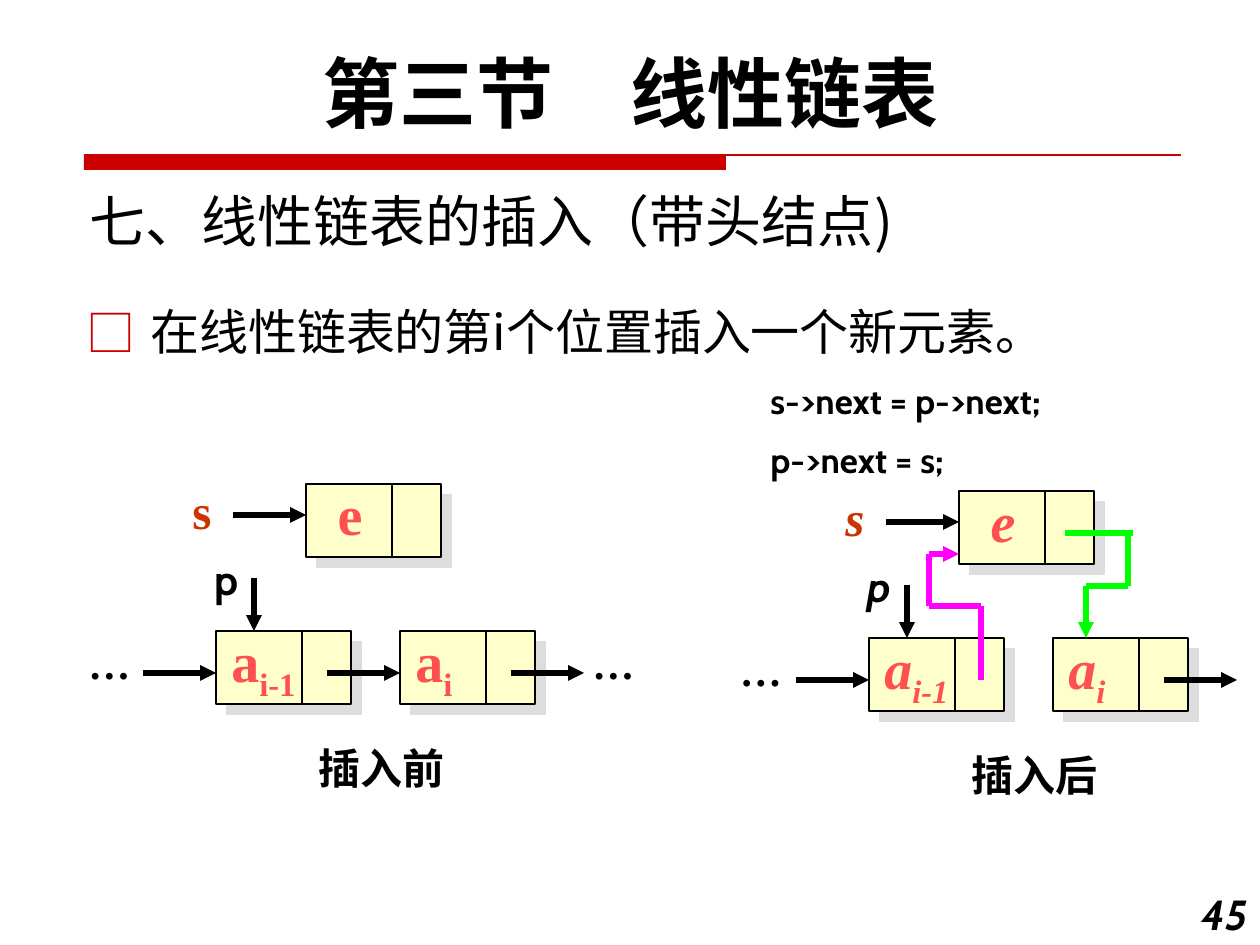
from itertools import pairwise
from lxml.etree import SubElement as Sub
from pptx import Presentation
from pptx.dml.color import RGBColor as RGB
from pptx.enum.shapes import MSO_CONNECTOR as LINE, MSO_SHAPE as SHAPE
from pptx.enum.text import MSO_ANCHOR as ANCHOR, PP_ALIGN as ALIGN
from pptx.oxml.ns import qn
from pptx.util import Pt

SCALE = 914400 / 126
BLACK = RGB(0x00, 0x00, 0x00)
RED = RGB(0xCC, 0x00, 0x00)
RUST = RGB(0xCC, 0x33, 0x00)
CORAL = RGB(0xFF, 0x50, 0x50)
CREAM = RGB(0xFF, 0xFF, 0xCC)
GREY = RGB(0xDD, 0xDD, 0xDD)
PINK = RGB(0xFF, 0x00, 0xFF)
GREEN = RGB(0x00, 0xFF, 0x00)
CABIN, NOTO, TIMES = "Cabin", "Noto Sans CJK SC", "Times New Roman"
NODE_W, NODE_H, SPLIT = 135, 73, 86


def px(*nums):
    return [round(n * SCALE) for n in nums]


def text(shapes, box, words, font=CABIN, size=24, color=BLACK, bold=True,
         italic=False, align=ALIGN.LEFT, anchor=ANCHOR.TOP, sub="", gap=0):
    frame = shapes.add_textbox(*px(*box)).text_frame
    frame.word_wrap = True
    frame.vertical_anchor = anchor
    for num, line in enumerate(words.split("\n")):
        para = frame.add_paragraph() if num else frame.paragraphs[0]
        para.alignment = align
        para.space_before = Pt(gap if num else 0)
        for part, base in ((line, 0), (sub, -25000)):
            if not part:
                continue
            run = para.add_run()
            run.text = part
            face = run.font
            face.name, face.size = font, Pt(size)
            face.bold, face.italic = bold, italic
            face.color.rgb = color
            props = run._r.get_or_add_rPr()
            Sub(props, qn("a:ea"), typeface=font)
            if base:
                props.set("baseline", str(base))
    return frame


def bullet(para, mark, color, indent):
    props = para._p.get_or_add_pPr()
    props.set("marL", str(indent))
    props.set("indent", str(-indent))
    tint = Sub(props, qn("a:buClr"))
    Sub(tint, qn("a:srgbClr"), val=str(color))
    Sub(props, qn("a:buFont"), typeface=NOTO)
    Sub(props, qn("a:buChar"), char=mark)


def link(shapes, points, color=BLACK, width=3, arrow=True):
    for start, end in pairwise(points):
        line = shapes.add_connector(LINE.STRAIGHT, *px(*start, *end))
        line.line.color.rgb = color
        line.line.width = Pt(width)
        if arrow and end == points[-1]:
            Sub(line.line._get_or_add_ln(), qn("a:tailEnd"), type="triangle")
        Sub(line._element.spPr, qn("a:effectLst"))


def rect(shapes, box, fill):
    shape = shapes.add_shape(SHAPE.RECTANGLE, *px(*box))
    shape.fill.solid()
    shape.fill.fore_color.rgb = fill
    shape.shadow.inherit = False
    return shape


def node(shapes, x, y, name, **form):
    shape = rect(shapes, (x, y, NODE_W, NODE_H), CREAM)
    shape.line.color.rgb = BLACK
    shape.line.width = Pt(0.75)
    shade = Sub(shape._element.spPr.find(qn("a:effectLst")),
                qn("a:outerShdw"), dist=str(Pt(8.5)), dir="2700000",
                algn="ctr", rotWithShape="0")
    Sub(shade, qn("a:srgbClr"), val=str(GREY))
    link(shapes, [(x + SPLIT, y), (x + SPLIT, y + NODE_H)],
         width=0.75, arrow=False)
    text(shapes, (x + 3, y - 11, 96 if form.get("sub") else 82, 80), name,
         font=TIMES, size=32, color=CORAL, **form)


def header(shapes, x, y, w):
    text(shapes, (x - 36, y - 116, 1166, 106), "第三节　线性链表",
         size=44, align=ALIGN.CENTER)
    rect(shapes, (x, y, 642, 15), RED).line.fill.background()
    link(shapes, [(x, y), (x + w, y)], color=RED, width=0.75, arrow=False)
    text(shapes, (x - 7, y + 10, 920, 95), "七、线性链表的插入（带头结点)",
         font=NOTO, size=32, bold=False, anchor=ANCHOR.BOTTOM)


def body(shapes, x, y, w, h):
    frame = text(shapes, (x, y, w, h), "在线性链表的第i个位置插入一个新元素。",
                 font=NOTO, size=28, bold=False)
    bullet(frame.paragraphs[0], "□", RED, px(64)[0])


def chain(slide, x, y, title, after=False):
    shapes = slide.shapes.add_group_shape().shapes

    def at(*points):
        return [(x + dx, y + dy) for dx, dy in points]

    node(shapes, x, y, "a", sub="i-1", italic=after)
    node(shapes, x + 184, y, "a", sub="i", italic=after)
    node(shapes, x + 90, y - 147, "e", align=ALIGN.CENTER, italic=after)
    text(shapes, (x - 36, y - 157, 60, 72), "s", font=TIMES, size=28,
         color=RUST, italic=after)
    text(shapes, (x - 14, y - 84, 95, 63), "p", italic=after)
    text(shapes, (x + 90, y + 105, 179, 63), title)
    for dx in [-140] if after else [-140, 364]:
        text(shapes, (x + dx, y, 95, 63), "…", font=TIMES, italic=after)

    for dx, dy in [(-73, 42), (295, 42), (17, -116)]:
        link(shapes, at((dx, dy), (dx + 73, dy)))
    link(shapes, at((38, -53), (38, 0)))
    if after:
        link(shapes, at((112, 42), (112, -32), (60, -32), (60, -84),
                        (90, -84)), color=PINK)
        link(shapes, at((196, -105), (264, -105), (259, -105), (259, -52),
                        (217, -52), (217, 0)), color=GREEN)
    else:
        link(shapes, at((111, 42), (184, 42)))


def main():
    deck = Presentation()
    deck.slide_width, deck.slide_height = px(1260, 945)
    slide = deck.slides.add_slide(deck.slide_layouts[6])
    shapes = slide.shapes
    header(shapes, 84, 155, 1097)
    body(shapes, 74, 295, 1186, 199)
    chain(slide, 216, 631, "插入前")
    chain(slide, 869, 638, "插入后", after=True)
    text(shapes, (758, 373, 502, 118), "s->next = p->next;\np->next = s;",
         size=20, gap=10)
    text(shapes, (1176, 882, 84, 63), "45", italic=True, align=ALIGN.RIGHT)
    deck.save("out.pptx")


if __name__ == "__main__":
    main()
